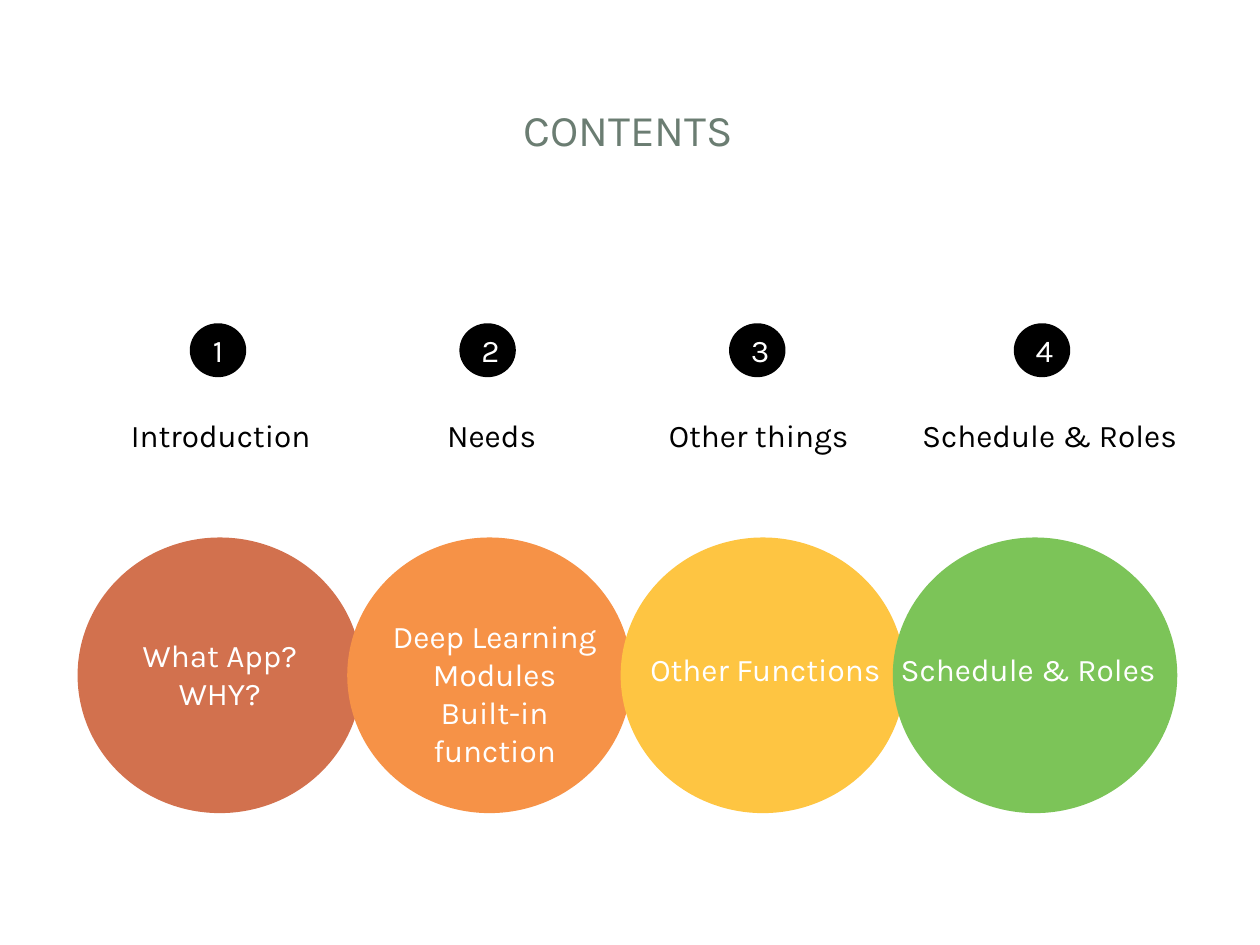
from pptx import Presentation
from pptx import util as u
from pptx.dml import color
from pptx.enum import shapes, text

WHITE, BLACK, SAGE = "FFFFFF", "000000", "6B7D72"
CENTER, LEFT = text.PP_ALIGN.CENTER, text.PP_ALIGN.LEFT

# Per column: badge left, heading with left and width,
# circle left and colour, detail lines with left, top, width, height.
COLUMNS = [
    (1.52, ("Introduction", 0.94, 1.68), (0.63, "D2714E"),
     (["What App?", "WHY?"], 0.95, 5, 1.59, 0.71)),
    (3.66, ("Needs", 3.45, 0.97), (2.77, "F69247"),
     (["Deep Learning", "Modules", "Built-in function"], 2.89, 4.85, 2.07, 1.01)),
    (5.8, ("Other things", 5.21, 1.68), (4.94, "FEC542"),
     (["Other Functions"], 5.02, 5.11, 2.11, 0.4)),
    (8.06, ("Schedule & Roles", 7.22, 2.33), (7.1, "7CC458"),
     (["Schedule & Roles"], 7.05, 5.11, 2.33, 0.4)),
]


def rgb(value):
    return color.RGBColor.from_string(value)


class SlideBuilder:
    font_name = "Karla"
    body_size = 18
    title_size = 25

    def __init__(self, slide):
        self.slide = slide

    def fill_text(self, frame, lines, size, ink, align):
        """Fill a text frame, one paragraph for each line."""
        frame.word_wrap = True
        frame.text = "\n".join(lines)
        for paragraph in frame.paragraphs:
            paragraph.alignment = align
            paragraph.font.name = self.font_name
            paragraph.font.size = u.Pt(size)
            paragraph.font.color.rgb = rgb(ink)

    def title(self, words, left, top, width, height):
        shape = self.slide.shapes.title
        shape.left, shape.top = u.Inches(left), u.Inches(top)
        shape.width, shape.height = u.Inches(width), u.Inches(height)
        shape.text_frame.vertical_anchor = text.MSO_ANCHOR.MIDDLE
        self.fill_text(shape.text_frame, [words], self.title_size, SAGE, CENTER)

    def ellipse(self, left, top, width, height, fill, label=None):
        shape = self.slide.shapes.add_shape(
            shapes.MSO_SHAPE.OVAL, u.Inches(left), u.Inches(top),
            u.Inches(width), u.Inches(height))
        shape.shadow.inherit = False
        shape.fill.solid()
        shape.fill.fore_color.rgb = rgb(fill)
        shape.line.color.rgb = rgb(fill)
        shape.line.width = u.Pt(2)
        if label:
            shape.text_frame.vertical_anchor = text.MSO_ANCHOR.MIDDLE
            self.fill_text(shape.text_frame, [label], self.body_size, WHITE, CENTER)

    def text_box(self, lines, left, top, width, height, ink, align):
        box = self.slide.shapes.add_textbox(
            u.Inches(left), u.Inches(top), u.Inches(width), u.Inches(height))
        box.text_frame.auto_size = text.MSO_AUTO_SIZE.SHAPE_TO_FIT_TEXT
        self.fill_text(box.text_frame, lines, self.body_size, ink, align)


def main():
    presentation = Presentation()
    presentation.slide_width, presentation.slide_height = u.Inches(10), u.Inches(7.5)
    title_only = presentation.slide_layouts[5]
    builder = SlideBuilder(presentation.slides.add_slide(title_only))

    builder.title("CONTENTS", 0.47, 0.45, 9.03, 1.14)
    for number, (badge_left, heading, circle, detail) in enumerate(COLUMNS, 1):
        builder.ellipse(badge_left, 2.58, 0.42, 0.4, BLACK, str(number))
        words, left, width = heading
        builder.text_box([words], left, 3.25, width, 0.4, BLACK, LEFT)
        circle_left, fill = circle
        builder.ellipse(circle_left, 4.28, 2.23, 2.16, fill)
        # The last detail fills its box, so it starts at the left edge.
        align = LEFT if number == len(COLUMNS) else CENTER
        builder.text_box(*detail, WHITE, align)

    presentation.save("out.pptx")


if __name__ == "__main__":
    main()
